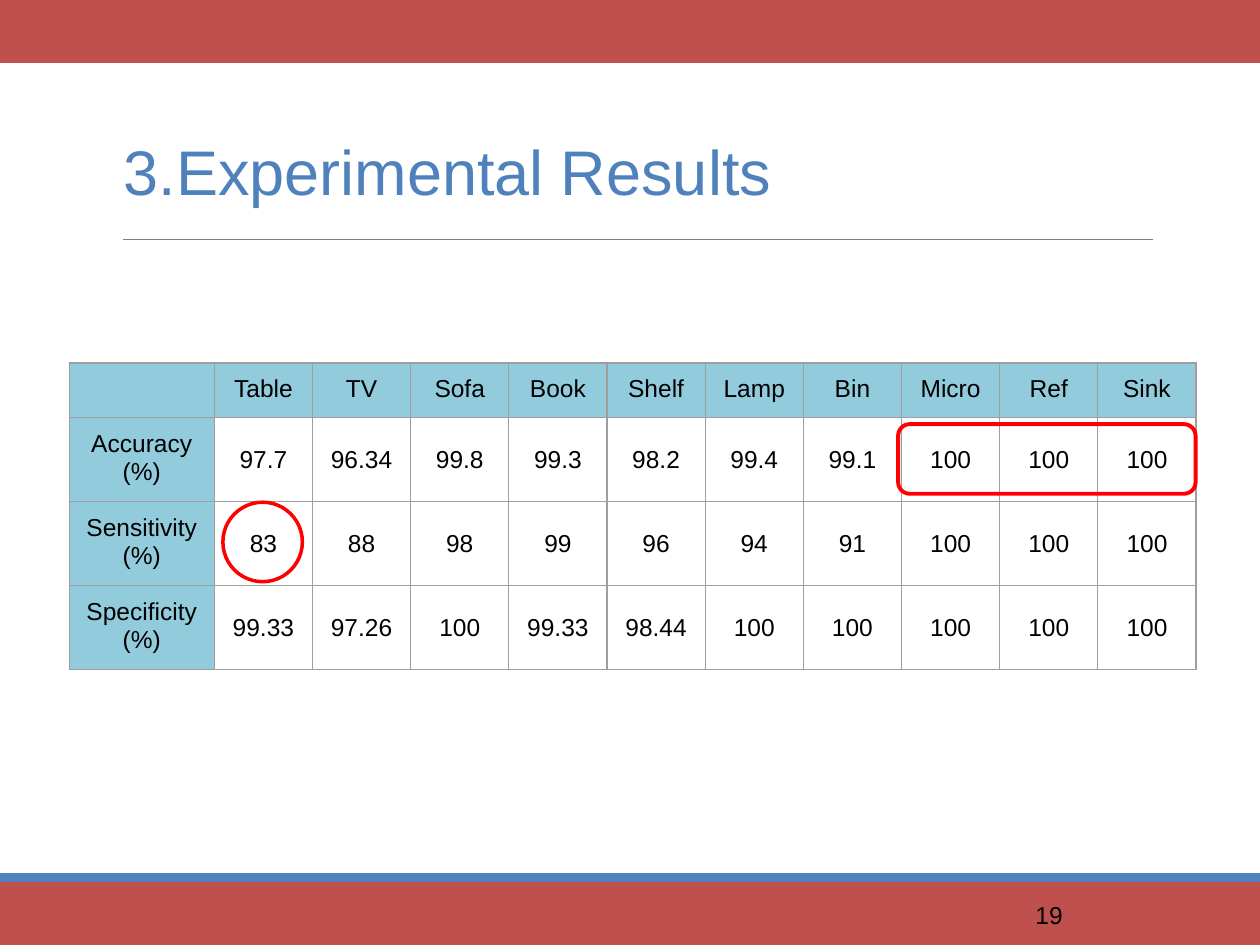
from lxml.etree import SubElement
from pptx import Presentation
from pptx.dml.color import RGBColor
from pptx.enum.shapes import MSO_CONNECTOR, MSO_SHAPE
from pptx.enum.text import MSO_ANCHOR, PP_ALIGN
from pptx.oxml import parse_xml
from pptx.oxml.ns import nsdecls, qn
from pptx.util import Pt

RED, BLUE, TEAL, GRID = "C0504D", "4F81BD", "92CCDC", "9E9E9E"


def color(hex_code):
    return RGBColor.from_string(hex_code)


def style(paragraph, size, hex_code):
    for run in paragraph.runs:
        run.font.name = "Arial"
        run.font.size = Pt(size)
        run.font.color.rgb = color(hex_code)


prs = Presentation()
prs.slide_width, prs.slide_height = Pt(720), Pt(540)
slide = prs.slides.add_slide(prs.slide_layouts[5])
shapes = slide.shapes

for top, height, fill in [(504, 36, RED), (499, 5, BLUE), (0, 36, RED)]:
    band = shapes.add_shape(MSO_SHAPE.RECTANGLE, 0, Pt(top), Pt(720), Pt(height))
    band.shadow.inherit = False
    band.fill.solid()
    band.fill.fore_color.rgb = color(fill)
    band.line.fill.background()

title_rule = shapes.add_connector(MSO_CONNECTOR.STRAIGHT, Pt(70.5), Pt(136.8), Pt(658.8), Pt(136.8))
title_rule.line.color.rgb = color("7F7F7F")
title_rule.line.width = Pt(0.75)
SubElement(title_rule._element.spPr, qn("a:effectLst"))

title = shapes.title
title.left, title.top, title.width, title.height = Pt(63.4), Pt(64.8), Pt(597.6), Pt(61.2)
title_frame = title.text_frame
title_frame.text = "3.Experimental Results"
title_frame.vertical_anchor = MSO_ANCHOR.BOTTOM
title_frame.margin_left = title_frame.margin_right = Pt(7.2)
title_frame.margin_top = title_frame.margin_bottom = Pt(7.2)
heading = title_frame.paragraphs[0]
heading.alignment = PP_ALIGN.LEFT
heading.line_spacing = 0.85
style(heading, 36, BLUE)

page_number = shapes.add_textbox(Pt(584.6), Pt(508.3), Pt(77.8), Pt(28.8)).text_frame
page_number.word_wrap = True
page_number.vertical_anchor = MSO_ANCHOR.MIDDLE
page_number.text = "19"
style(page_number.paragraphs[0], 14, "000000")

results = [
    ["", "Table", "TV", "Sofa", "Book", "Shelf", "Lamp", "Bin", "Micro", "Ref", "Sink"],
    ["Accuracy\n(%)", "97.7", "96.34", "99.8", "99.3", "98.2", "99.4", "99.1", "100", "100", "100"],
    ["Sensitivity (%)", "83", "88", "98", "99", "96", "94", "91", "100", "100", "100"],
    ["Specificity (%)", "99.33", "97.26", "100", "99.33", "98.44", "100", "100", "100", "100", "100"],
]
column_widths = [83] + [56.1] * 10
row_heights = [30.2] + [45.9] * 3
table = shapes.add_table(
    len(results), len(results[0]), Pt(39.5), Pt(207.4), Pt(sum(column_widths)), Pt(sum(row_heights))
).table
for column, width in zip(table.columns, column_widths):
    column.width = Pt(width)
for row, height in zip(table.rows, row_heights):
    row.height = Pt(height)

for r, values in enumerate(results):
    for c, value in enumerate(values):
        cell = table.cell(r, c)
        properties = cell._tc.get_or_add_tcPr()
        for side in ("lnL", "lnR", "lnT", "lnB"):
            properties.append(parse_xml(
                f'<a:{side} {nsdecls("a")} w="{Pt(0.75)}"><a:solidFill>'
                f'<a:srgbClr val="{GRID}"/></a:solidFill></a:{side}>'
            ))
        is_header = r == 0 or c == 0
        if is_header:
            cell.fill.solid()
            cell.fill.fore_color.rgb = color(TEAL)
        else:
            cell.fill.background()
        if not value:
            continue
        cell.margin_left = cell.margin_right = cell.margin_top = cell.margin_bottom = Pt(7.2)
        cell.vertical_anchor = MSO_ANCHOR.TOP if is_header else MSO_ANCHOR.MIDDLE
        cell.text_frame.text = value
        for paragraph in cell.text_frame.paragraphs:
            paragraph.alignment = PP_ALIGN.CENTER
            style(paragraph, 14, "000000")
            for run in paragraph.runs:
                run.font.bold = False

highlights = [
    (MSO_SHAPE.ROUNDED_RECTANGLE, 513.2, 242.4, 170, 39.8, 2.25),
    (MSO_SHAPE.OVAL, 127.4, 287, 45.4, 45.4, 2),
]
for outline, left, top, width, height, weight in highlights:
    highlight = shapes.add_shape(outline, Pt(left), Pt(top), Pt(width), Pt(height))
    highlight.shadow.inherit = False
    highlight.fill.background()
    highlight.line.color.rgb = color("FF0000")
    highlight.line.width = Pt(weight)

prs.save("out.pptx")
